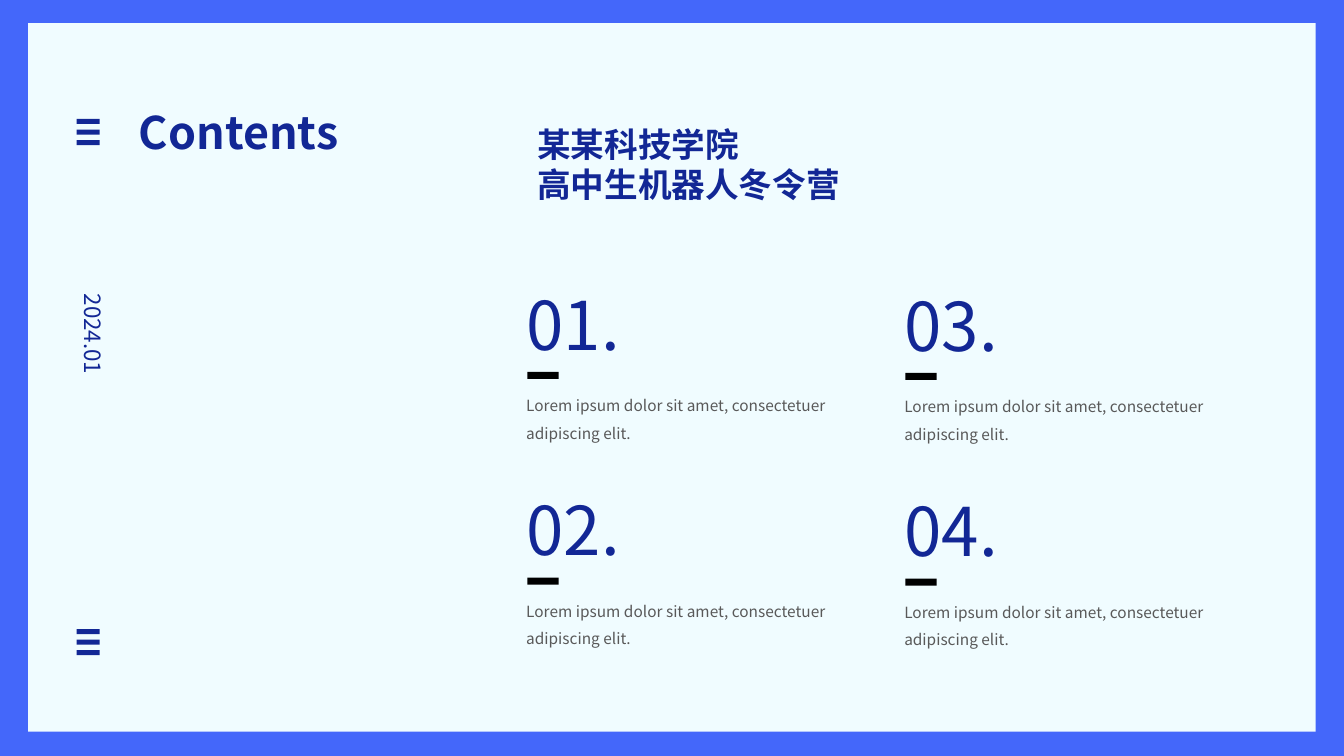
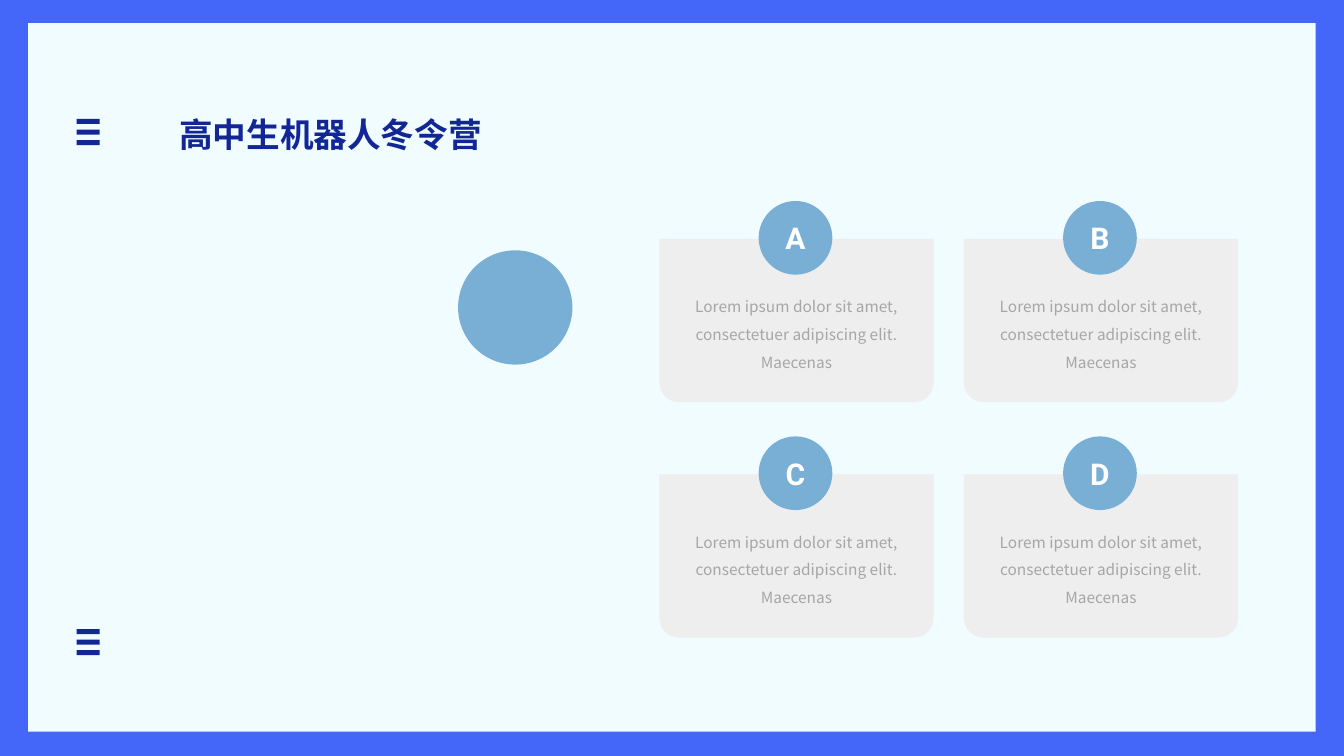
"""Build a contents slide and a four-card slide in a shared blue frame."""
from lxml import etree
from pptx import Presentation
from pptx.dml.color import RGBColor
from pptx.enum.shapes import MSO_SHAPE
from pptx.enum.text import MSO_ANCHOR, MSO_AUTO_SIZE, PP_ALIGN
from pptx.oxml.ns import qn
from pptx.util import Inches, Pt

RECT, OVAL = MSO_SHAPE.RECTANGLE, MSO_SHAPE.OVAL
CARD = MSO_SHAPE.ROUND_2_SAME_RECTANGLE
LEFT, CENTER, JUSTIFY = PP_ALIGN.LEFT, PP_ALIGN.CENTER, PP_ALIGN.JUSTIFY
MIDDLE = MSO_ANCHOR.MIDDLE
GROW, FIXED = MSO_AUTO_SIZE.SHAPE_TO_FIT_TEXT, MSO_AUTO_SIZE.NONE
COLORS = {
    "frame": "4467FA", "panel": "F0FCFF", "navy": "122795", "black": "000000",
    "sky": "7AAFD5", "card": "EEEEEE", "body": "595959", "muted": "A6A6A6",
    "white": "FFFFFF",
}
FONT, BADGE_FONT = "Noto Sans CJK SC", "Roboto"
LOREM = "Lorem ipsum dolor sit amet, consectetuer adipiscing elit."
CAMP = "高中生机器人冬令营"


def add_shape(shapes, kind, box, color, line=0):
    sp = shapes.add_shape(kind, *map(Inches, box))
    sp.shadow.inherit = False
    sp.fill.solid()
    sp.fill.fore_color.rgb = RGBColor.from_string(COLORS[color])
    if line:
        sp.line.color.rgb = RGBColor.from_string(COLORS[color])
        sp.line.width = Pt(line)
    else:
        sp.line.fill.background()
    return sp


def add_text(s, box, text, size, color="navy", bold=False, align=LEFT, spacing=None, font=FONT):
    sp = s.shapes.add_textbox(*map(Inches, box))
    tf = sp.text_frame
    tf.word_wrap = True
    tf.auto_size = GROW
    tf.text = text
    for p in tf.paragraphs:
        p.alignment = align
        p.line_spacing = spacing
        for r in p.runs:
            r.font.size = Pt(size)
            r.font.bold = bold
            r.font.name = font
            r.font.color.rgb = RGBColor.from_string(COLORS[color])
            etree.SubElement(r.font._element, qn("a:ea"), typeface=font)
    return sp


prs = Presentation()
prs.slide_width, prs.slide_height = Inches(13.33), Inches(7.5)
fill = prs.slide_master.background.fill
fill.solid()
fill.fore_color.rgb = RGBColor.from_string(COLORS["frame"])

slides = [prs.slides.add_slide(prs.slide_layouts[6]) for _ in range(2)]
for s in slides:
    add_shape(s.shapes, RECT, (0.28, 0.23, 12.77, 7.03), "panel")
    for top in (1.18, 6.24):
        icon = s.shapes.add_group_shape()
        for i in range(3):
            add_shape(icon.shapes, RECT, (0.76, top + i * 0.105, 0.23, 0.05), "navy")

contents, cards = slides
add_text(contents, (1.28, 0.99, 2.47, 0.64), "Contents", 32, bold=True)
add_text(contents, (5.23, 1.18, 5.59, 0.91), "某某科技学院\n" + CAMP, 24, bold=True)
date = add_text(contents, (0.06, 3.49, 1.72, 0.37), "2024.01", 16, align=JUSTIFY)
date.rotation = 90
for i in range(4):
    col, row = divmod(i, 2)
    x, y = 4.8 + col * 3.75, 2.76 + row * 2.04 + col * 0.01
    add_text(contents, (x, y, 1.77, 0.91), f"0{i + 1}.", 48, align=CENTER)
    add_shape(contents.shapes, RECT, (x + 0.43, y + 0.93, 0.31, 0.07), "black")
    add_text(contents, (x + 0.32, y + 1.03, 3.35, 0.63), LOREM, 11, "body", spacing=1.5)

add_text(cards, (1.68, 1.08, 5.59, 0.5), CAMP, 24, bold=True)
add_shape(cards.shapes, OVAL, (4.55, 2.49, 1.12, 1.12), "sky", 1)
for i, letter in enumerate("ABCD"):
    row, col = divmod(i, 2)
    x, y = 6.54 + col * 3.02, 2.37 + row * 2.335
    card = add_shape(cards.shapes, CARD, (x, y, 2.72, 1.62), "card")
    card.adjustments[0], card.adjustments[1] = 0, 0.12
    badge = (x + 1, y - 0.36, 0.7, 0.7)
    add_shape(cards.shapes, OVAL, badge, "sky", 2.25)
    label = add_text(cards, badge, letter, 21.4, "white", True, CENTER, font=BADGE_FONT)
    label.text_frame.auto_size = FIXED
    label.text_frame.vertical_anchor = MIDDLE
    add_text(cards, (x + 0.24, y + 0.44, 2.24, 0.91), LOREM + " Maecenas", 11, "muted",
             align=CENTER, spacing=1.5)

prs.save("out.pptx")
